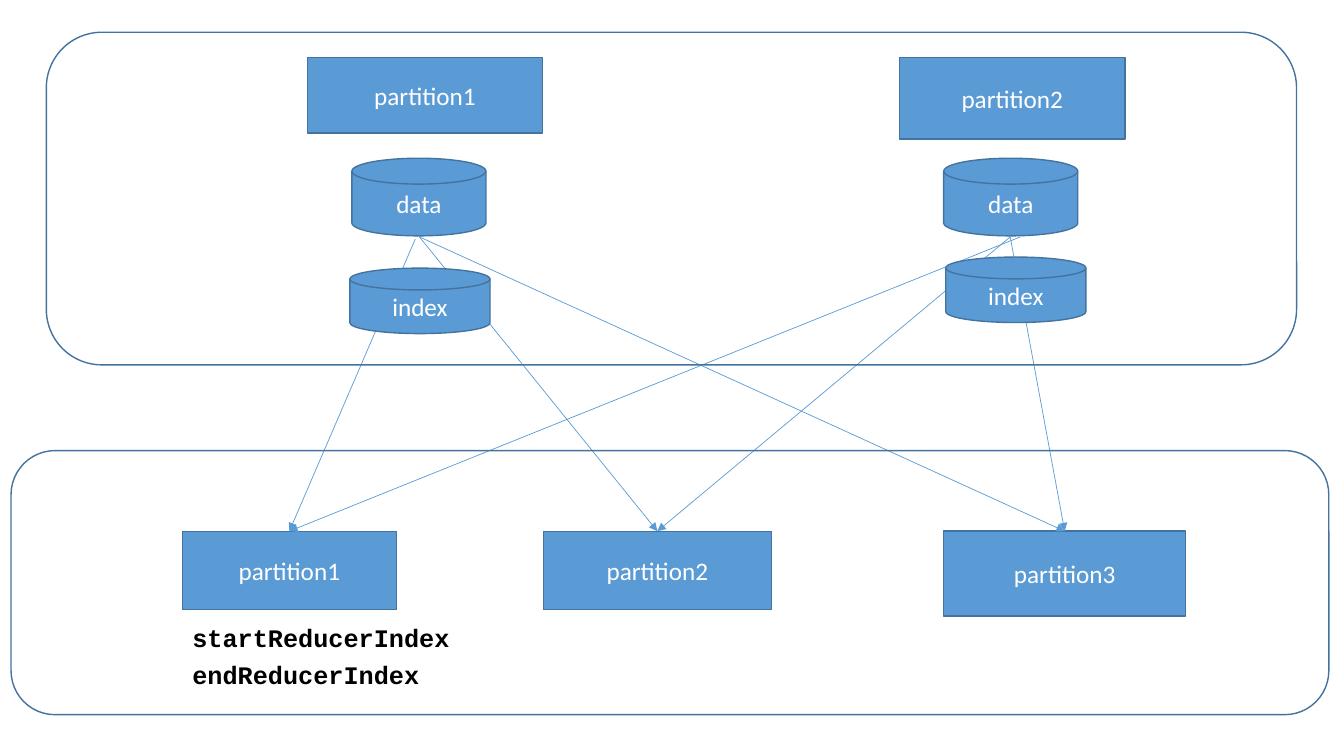
from dataclasses import dataclass

from lxml import etree
from pptx import Presentation
from pptx.dml.color import RGBColor
from pptx.enum import shapes, text
from pptx.oxml.ns import qn
from pptx.util import Inches, Pt


@dataclass(frozen=True)
class Theme:
    fill: str = "5B9BD5"
    outline: str = "43739E"
    light: str = "FFFFFF"
    dark: str = "000000"
    font: str = "Calibri"
    code_font: str = "Courier New"
    size: float = 18
    outline_width: float = 1
    arrow_width: float = 0.5


THEME = Theme()
SLIDE_SIZE = (13.33, 7.5)

# Boxes are left, top, width, height in inches
MAP_PARTITIONS = [
    ("partition1", (3.05, 0.57, 2.33, 0.75)),
    ("partition2", (8.92, 0.57, 2.24, 0.81)),
]
REDUCE_PARTITIONS = [
    ("partition1", (1.81, 5.27, 2.12, 0.78)),
    ("partition2", (5.39, 5.27, 2.26, 0.78)),
    ("partition3", (9.36, 5.27, 2.4, 0.84)),
]
FILES = [
    ("data", (3.49, 1.57, 1.33, 0.77)),
    ("index", (3.47, 2.66, 1.39, 0.65)),
    ("data", (9.36, 1.57, 1.33, 0.77)),
    ("index", (9.38, 2.55, 1.39, 0.65)),
]
STAGE_FRAMES = [(0.46, 0.32, 12.4, 3.3), (0.11, 4.47, 13.07, 2.62)]
# For each data file, one arrow start per reduce partition
SHUFFLE_STARTS = [
    [(4.12, 2.37), (4.16, 2.35), (4.16, 2.35)],
    [(10.12, 2.35), (10.02, 2.35), (10.02, 2.35)],
]
INDEX_LABELS = [
    ("startReducerIndex", (1.81, 6.12, 2.76, 0.4)),
    ("endReducerIndex", (1.81, 6.49, 2.46, 0.4)),
]


def write(shape, words, color, font=THEME.font, bold=False,
          align=text.PP_ALIGN.CENTER, anchor=text.MSO_ANCHOR.MIDDLE, wrap=True):
    frame = shape.text_frame
    frame.word_wrap = wrap
    frame.vertical_anchor = anchor
    paragraph = frame.paragraphs[0]
    paragraph.alignment = align
    run = paragraph.add_run()
    run.text = words
    run.font.name = font
    run.font.size = Pt(THEME.size)
    run.font.bold = bold
    run.font.color.rgb = RGBColor.from_string(color)


def add_block(slide, kind, box, words=None):
    """Add an outlined shape, filled only when it carries words."""
    shape = slide.shapes.add_shape(kind, *map(Inches, box))
    shape.shadow.inherit = False
    shape.line.color.rgb = RGBColor.from_string(THEME.outline)
    shape.line.width = Pt(THEME.outline_width)
    if words:
        shape.fill.solid()
        shape.fill.fore_color.rgb = RGBColor.from_string(THEME.fill)
        write(shape, words, THEME.light)
    else:
        shape.fill.background()
    return shape


def add_arrow(slide, start, target):
    """Draw an arrow from a point to the middle of the target's top side."""
    x, y = map(Inches, start)
    arrow = slide.shapes.add_connector(shapes.MSO_CONNECTOR.STRAIGHT, x, y, x, y)
    arrow.end_connect(target, 0)
    arrow.line.color.rgb = RGBColor.from_string(THEME.fill)
    arrow.line.width = Pt(THEME.arrow_width)
    etree.SubElement(arrow.line._get_or_add_ln(), qn("a:tailEnd"), type="triangle")
    etree.SubElement(arrow._element.spPr, qn("a:effectLst"))


def add_label(slide, words, box):
    label = slide.shapes.add_textbox(*map(Inches, box))
    write(label, words, THEME.dark, font=THEME.code_font, bold=True,
          align=text.PP_ALIGN.LEFT, anchor=text.MSO_ANCHOR.TOP, wrap=False)
    label.text_frame.auto_size = text.MSO_AUTO_SIZE.SHAPE_TO_FIT_TEXT


def main():
    presentation = Presentation()
    presentation.slide_width, presentation.slide_height = map(Inches, SLIDE_SIZE)
    slide = presentation.slides.add_slide(presentation.slide_layouts[6])
    kinds = shapes.MSO_SHAPE

    for words, box in MAP_PARTITIONS:
        add_block(slide, kinds.RECTANGLE, box, words)
    reducers = [add_block(slide, kinds.RECTANGLE, box, words)
                for words, box in REDUCE_PARTITIONS]
    for starts in SHUFFLE_STARTS:
        for start, reducer in zip(starts, reducers):
            add_arrow(slide, start, reducer)
    for box in STAGE_FRAMES:
        add_block(slide, kinds.ROUNDED_RECTANGLE, box)
    for words, box in INDEX_LABELS:
        add_label(slide, words, box)
    for words, box in FILES:
        add_block(slide, kinds.FLOWCHART_MAGNETIC_DISK, box, words)

    presentation.save("out.pptx")


if __name__ == "__main__":
    main()
